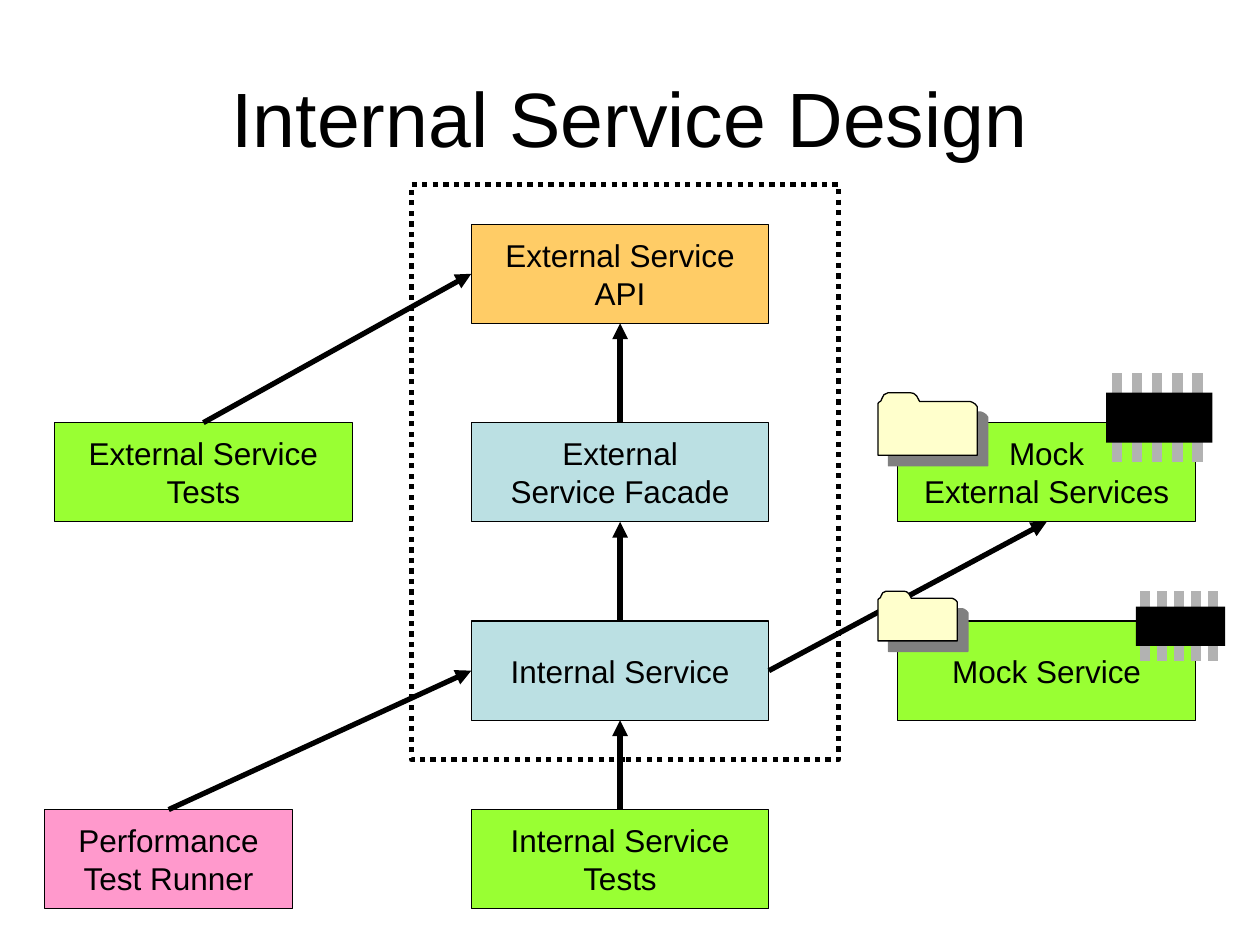
from lxml import etree
from pptx import Presentation
from pptx.dml.color import RGBColor
from pptx.enum.dml import MSO_LINE
from pptx.enum.shapes import MSO_CONNECTOR, MSO_SHAPE
from pptx.enum.text import MSO_ANCHOR, PP_ALIGN
from pptx.oxml.ns import qn
from pptx.util import Cm, Pt

STRAIGHT = MSO_CONNECTOR.STRAIGHT
PROCESS, RECTANGLE = MSO_SHAPE.FLOWCHART_PROCESS, MSO_SHAPE.RECTANGLE
CENTER, MIDDLE = PP_ALIGN.CENTER, MSO_ANCHOR.MIDDLE
TOP, LEFT, BOTTOM, RIGHT = range(4)  # connection sites of a process box

COLORS = {
    "black": "000000", "api": "FFCC66", "service": "BBE0E3", "test": "99FF33",
    "runner": "FF99CC", "folder": "FFFFCC", "shadow": "808080", "pin": "B2B2B2",
}
RGB = {role: RGBColor.from_string(value) for role, value in COLORS.items()}


def write_centered(frame, lines, size):
    frame.vertical_anchor = MIDDLE
    for number, line in enumerate(lines):
        paragraph = frame.paragraphs[0] if number == 0 else frame.add_paragraph()
        paragraph.alignment = CENTER
        run = paragraph.add_run()
        run.text = line
        run.font.name = "Arial"
        run.font.size = Pt(size)
        run.font.color.rgb = RGB["black"]


def add_line(shapes, start, end, color, width):
    line = shapes.add_connector(STRAIGHT, *start, *end)
    line.line.color.rgb = RGB[color]
    line.line.width = Pt(width)
    etree.SubElement(line._element.spPr, qn("a:effectLst"))
    return line


prs = Presentation()
prs.slide_width, prs.slide_height = Cm(25.4), Cm(19.05)
slide = prs.slides.add_slide(prs.slide_layouts[6])
shapes = slide.shapes

# Dotted frame around the service layers
boundary = shapes.add_shape(RECTANGLE, Cm(8.3), Cm(3.72), Cm(8.6), Cm(11.6))
boundary.shadow.inherit = False
boundary.fill.background()
boundary.line.color.rgb = RGB["black"]
boundary.line.width = Pt(3)
boundary.line.dash_style = MSO_LINE.ROUND_DOT

title = shapes.add_textbox(Cm(1.27), Cm(0.76), Cm(22.86), Cm(3.18))
title.text_frame.word_wrap = True
write_centered(title.text_frame, ["Internal Service Design"], 44)

# Components: left, top and width in cm
BOX_HEIGHT = 2
ROWS = [4.52, 8.52, 12.52, 16.32]
MIDDLE_COLUMN, MOCK_COLUMN = 9.5, 18.1
components = {
    "api": (MIDDLE_COLUMN, ROWS[0], 6, "api", ["External Service", "API"]),
    "external tests": (1.1, ROWS[1], 6, "test", ["External Service", "Tests"]),
    "facade": (MIDDLE_COLUMN, ROWS[1], 6, "service", ["External", "Service Facade"]),
    "internal": (MIDDLE_COLUMN, ROWS[2], 6, "service", ["Internal Service"]),
    "internal tests": (MIDDLE_COLUMN, ROWS[3], 6, "test", ["Internal Service", "Tests"]),
    "mock external": (MOCK_COLUMN, ROWS[1], 6, "test", ["Mock", "External Services"]),
    "mock": (MOCK_COLUMN, ROWS[2], 6, "test", ["Mock Service"]),
    "runner": (0.9, ROWS[3], 5, "runner", ["Performance", "Test Runner"]),
}
boxes = {}
for name, (left, top, width, color, lines) in components.items():
    box = shapes.add_shape(PROCESS, Cm(left), Cm(top), Cm(width), Cm(BOX_HEIGHT))
    box.shadow.inherit = False
    box.fill.solid()
    box.fill.fore_color.rgb = RGB[color]
    box.line.color.rgb = RGB["black"]
    box.line.width = Pt(0.75)
    box.text_frame.word_wrap = False
    write_centered(box.text_frame, lines, 18)
    boxes[name] = box

# Calls between components
calls = [
    ("facade", TOP, "api", BOTTOM),
    ("external tests", TOP, "api", LEFT),
    ("internal", RIGHT, "mock external", BOTTOM),
    ("internal tests", TOP, "internal", BOTTOM),
    ("internal", TOP, "facade", BOTTOM),
    ("runner", TOP, "internal", LEFT),
]
for caller, caller_site, callee, callee_site in calls:
    arrow = add_line(shapes, (0, 0), (0, 0), "black", 3)
    arrow.begin_connect(boxes[caller], caller_site)
    arrow.end_connect(boxes[callee], callee_site)
    etree.SubElement(arrow.line._get_or_add_ln(), qn("a:tailEnd"), type="triangle")

# Folders: outline in percent of width and height
FOLDER_OUTLINE = [
    (93, 14), (42, 14), (41, 11), (39, 5), (36, 1), (33, 0), (10, 0), (6, 3),
    (4, 9), (3, 13), (1, 15), (0, 17), (0, 100), (100, 100), (100, 22),
    (98, 18), (95, 15),
]
for left, top, width, height in [(17.7, 7.92, 2, 1.26), (17.7, 11.92, 1.6, 1)]:
    builder = shapes.build_freeform(
        *FOLDER_OUTLINE[0], scale=(Cm(width) / 100, Cm(height) / 100))
    builder.add_line_segments(FOLDER_OUTLINE[1:], close=True)
    folder = builder.convert_to_shape(Cm(left), Cm(top))
    folder.fill.solid()
    folder.fill.fore_color.rgb = RGB["folder"]
    folder.line.color.rgb = RGB["black"]
    folder.line.width = Pt(0.75)
    folder.shadow.inherit = False
    effects = folder._element.spPr.find(qn("a:effectLst"))
    shadow = etree.SubElement(
        effects, qn("a:outerShdw"), dist=str(Pt(8.5)), dir="2700000",
        algn="ctr", rotWithShape="0")
    etree.SubElement(shadow, qn("a:srgbClr"), val=COLORS["shadow"])

# Chips: five pins behind a black body
for left, top, width, height in [(22.3, 7.52, 2.14, 1.8), (22.9, 11.92, 1.8, 1.41)]:
    chip = shapes.add_group_shape().shapes
    for pin in range(5):
        x = Cm(left + width * (0.1 + 0.19 * pin))
        add_line(chip, (x, Cm(top)), (x, Cm(top + height)), "pin", 6)
    body = chip.add_shape(RECTANGLE, Cm(left), Cm(top + height * 0.22),
                          Cm(width), Cm(height * 0.56))
    body.shadow.inherit = False
    body.fill.solid()
    body.fill.fore_color.rgb = RGB["black"]
    body.line.fill.background()

prs.save("out.pptx")
